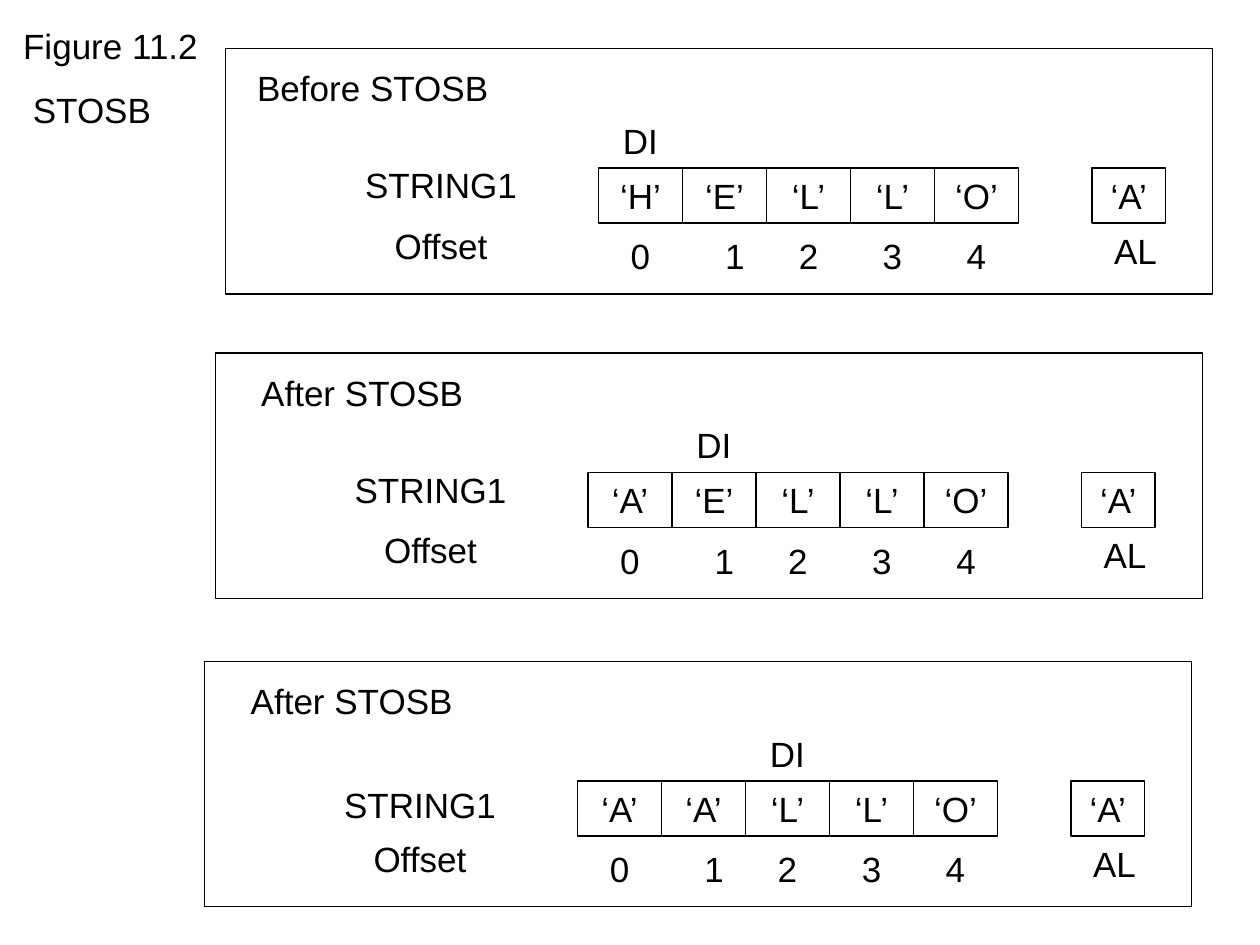
from pptx import Presentation
from pptx.dml.color import RGBColor
from pptx.enum.shapes import MSO_SHAPE
from pptx.enum.text import MSO_ANCHOR, MSO_AUTO_SIZE, PP_ALIGN
from pptx.util import Inches, Pt

BLACK = RGBColor(0x00, 0x00, 0x00)
RECT = MSO_SHAPE.RECTANGLE
TOP = MSO_ANCHOR.TOP
FIT_SHAPE = MSO_AUTO_SIZE.SHAPE_TO_FIT_TEXT
LEFT, CENTER = PP_ALIGN.LEFT, PP_ALIGN.CENTER

COLUMNS, ROWS = 120, 360  # grid over the whole slide
CELL_WIDTH, LINE_HEIGHT = 8, 21
PANEL_ROWS = (0, 116, 233.5)
PANELS = (
    ("Before STOSB", "HELLO", 60),
    ("After STOSB", "AELLO", 60),
    ("After STOSB", "AALLO", 62.5),
)


class MemoryFigure:
    """Style and current slide, with positions given in grid columns and rows."""

    def __init__(self, prs):
        self.slide = prs.slides.add_slide(prs.slide_layouts[5])
        self.column = prs.slide_width / COLUMNS
        self.row = prs.slide_height / ROWS
        self.font, self.size = "Arial", Pt(20)
        self.space_before, self.line_width = Pt(12.5), Pt(0.75)
        self.move_to(0, 0)

    def move_to(self, column, row):
        """Set the origin for the elements that follow."""
        self.left, self.top = column, row

    def area(self, column, row, width, height=LINE_HEIGHT):
        return (round((self.left + column) * self.column),
                round((self.top + row) * self.row),
                round(width * self.column), round(height * self.row))

    def set_text(self, sp, text, align=CENTER):
        tf = sp.text_frame
        tf.text = text
        tf.word_wrap = True
        tf.auto_size = FIT_SHAPE
        tf.vertical_anchor = TOP
        for p in tf.paragraphs:
            p.alignment = align
            p.space_before = self.space_before
            for r in p.runs:
                r.font.name, r.font.size = self.font, self.size
                r.font.color.rgb = BLACK

    def title(self, text, *place):
        sp = self.slide.shapes.title
        sp.left, sp.top, sp.width, sp.height = self.area(*place)
        self.set_text(sp, text, LEFT)

    def label(self, text, *place):
        self.set_text(self.slide.shapes.add_textbox(*self.area(*place)), text)

    def box(self, *place, text=None, shapes=None):
        shapes = shapes or self.slide.shapes
        sp = shapes.add_shape(RECT, *self.area(*place))
        sp.shadow.inherit = False
        sp.fill.background()
        sp.line.color.rgb = BLACK
        sp.line.width = self.line_width
        if text:
            self.set_text(sp, text)

    def string_cells(self, string, column, row):
        group = self.slide.shapes.add_group_shape()
        for i, letter in enumerate(string):
            # An empty group's shapes count as false, so pass a non-empty choice.
            self.cell(group, f"‘{letter}’", column + i * CELL_WIDTH, row)

    def cell(self, group, text, column, row):
        sp = group.shapes.add_shape(RECT, *self.area(column, row, CELL_WIDTH))
        self.outline(sp)
        self.set_text(sp, text)

    def outline(self, sp):
        sp.shadow.inherit = False
        sp.fill.background()
        sp.line.color.rgb = BLACK
        sp.line.width = self.line_width

    def offsets(self, count, column, row):
        for i in range(count):
            nudge = 1 if i == 1 else 0
            self.label(str(i), column + i * CELL_WIDTH + nudge, row, CELL_WIDTH)

    def panel(self, step, heading, string, name_row):
        """One state of the string; DI advances one cell with each step."""
        self.move_to(-step, PANEL_ROWS[step])
        self.string_cells(string, 57, 64)
        self.offsets(len(string), 57, 87)
        self.label("STRING1", 31, name_row, 22)
        self.label("Offset", 31, 83, 22)
        self.label(heading, 22, 23, 27)
        self.label("DI", 58 + step * CELL_WIDTH, 43, 6)
        self.box(21.5, 18.5, 94, 93.5)
        self.box(104, 64, 7, text="‘A’")
        self.label("AL", 104.65, 85, 7)


def main():
    prs = Presentation()
    prs.slide_width, prs.slide_height = Inches(10), Inches(7.5)
    figure = MemoryFigure(prs)
    figure.title("Figure 11.2\n STOSB", 1, 7, 20, 45)
    for step, (heading, string, name_row) in enumerate(PANELS):
        figure.panel(step, heading, string, name_row)
    prs.save("out.pptx")


if __name__ == "__main__":
    main()
